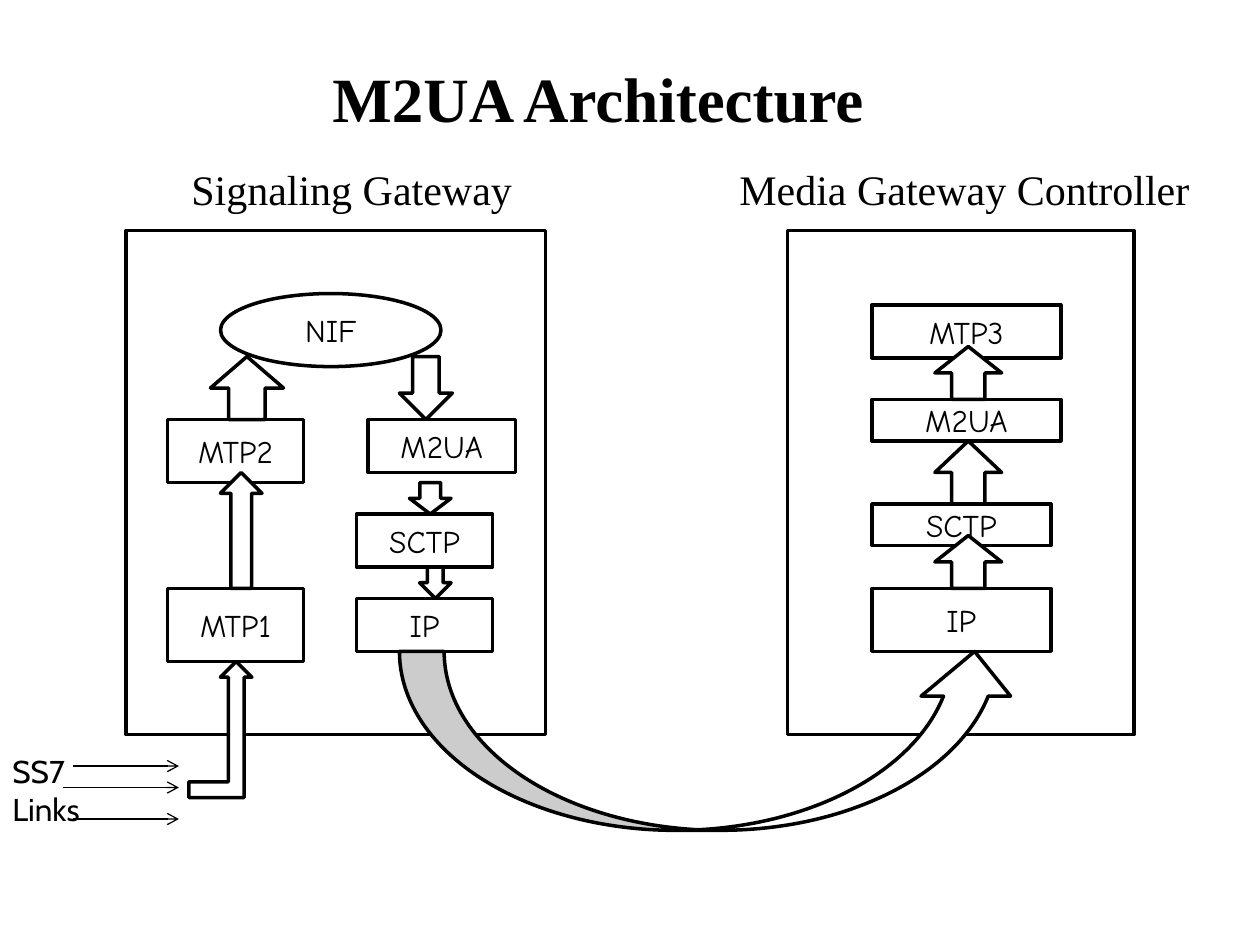
from dataclasses import dataclass

from lxml.etree import SubElement
from pptx import Presentation
from pptx.dml.color import RGBColor
from pptx.enum.shapes import MSO_CONNECTOR, MSO_SHAPE
from pptx.enum.text import MSO_ANCHOR, PP_ALIGN
from pptx.oxml.ns import qn
from pptx.util import Inches, Pt


@dataclass(frozen=True)
class Theme:
    ink: RGBColor = RGBColor(0, 0, 0)
    paper: RGBColor = RGBColor(255, 255, 255)
    serif: str = "Times New Roman"
    node_font: str = "Comic Neue"
    side_font: str = "Cabin"
    title_size: int = 36
    heading_size: int = 24
    body_size: int = 18
    outline: float = 2
    thin: float = 0.75


THEME = Theme()


def add_run(p, text, font, size, bold=False):
    r = p.add_run()
    r.text = text
    r.font.name = font
    r.font.size = Pt(size)
    r.font.bold = bold
    r.font.color.rgb = THEME.ink


def add_label(s, box, text, font, size, bold=False):
    sp = s.shapes.add_textbox(*map(Inches, box))
    sp.text_frame.word_wrap = True
    add_run(sp.text_frame.paragraphs[0], text, font, size, bold)


def add_outlined(s, kind, box, text=""):
    sp = s.shapes.add_shape(kind, *map(Inches, box))
    sp.shadow.inherit = False
    sp.fill.solid()
    sp.fill.fore_color.rgb = THEME.paper
    sp.line.color.rgb = THEME.ink
    sp.line.width = Pt(THEME.outline)
    if text:
        tf = sp.text_frame
        tf.word_wrap = True
        tf.vertical_anchor = MSO_ANCHOR.MIDDLE
        p = tf.paragraphs[0]
        p.alignment = PP_ALIGN.CENTER
        add_run(p, text, THEME.node_font, THEME.body_size)


def add_panel(s, box, parts):
    """Frame with parts placed relative to its top left corner."""
    left, top, _, _ = box
    add_outlined(s, MSO_SHAPE.RECTANGLE, box)
    for kind, x, y, w, h, text in parts:
        add_outlined(s, kind, (left + x, top + y, w, h), text)


def add_signaling_gateway(s, box):
    rect, up, down = MSO_SHAPE.RECTANGLE, MSO_SHAPE.UP_ARROW, MSO_SHAPE.DOWN_ARROW
    add_panel(s, box, [
        (MSO_SHAPE.OVAL, 0.75, 0.5, 1.75, 0.58, "NIF"),
        # SS7 side
        (rect, 0.33, 1.5, 1.08, 0.5, "MTP2"),
        (rect, 0.33, 2.84, 1.08, 0.58, "MTP1"),
        (up, 0.75, 1.92, 0.33, 0.92, ""),
        (up, 0.67, 1, 0.58, 0.5, ""),
        # IP side
        (rect, 1.92, 1.5, 1.17, 0.42, "M2UA"),
        (rect, 1.83, 2.25, 1.08, 0.42, "SCTP"),
        (rect, 1.83, 2.92, 1.08, 0.42, "IP"),
        (down, 2.17, 1, 0.42, 0.5, ""),
        (down, 2.25, 2, 0.33, 0.25, ""),
        (down, 2.33, 2.67, 0.25, 0.25, ""),
    ])


def add_gateway_controller(s, box):
    rect, up = MSO_SHAPE.RECTANGLE, MSO_SHAPE.UP_ARROW
    layers = [("MTP3", 0.59, 1.5, 0.42), ("M2UA", 1.34, 1.5, 0.33),
              ("SCTP", 2.17, 1.42, 0.33), ("IP", 2.84, 1.42, 0.5)]
    arrows = [(0.92, 0.42), (1.67, 0.5), (2.42, 0.42)]
    add_panel(s, box,
              [(rect, 0.67, y, w, h, name) for name, y, w, h in layers]
              + [(up, 1.17, y, 0.53, h, "") for y, h in arrows])


def add_ss7_links(s, box):
    left, top, width, height = box
    # Incoming link lines
    for x, y in [(0.58, 0.16), (0.5, 0.33), (0.58, 0.58)]:
        line = s.shapes.add_connector(
            MSO_CONNECTOR.STRAIGHT, Inches(left + x), Inches(top + y),
            Inches(left + 1.42), Inches(top + y))
        line.line.color.rgb = THEME.ink
        line.line.width = Pt(THEME.thin)
        SubElement(line.line._get_or_add_ln(), qn("a:tailEnd"), type="arrow")
        SubElement(line._element.spPr, qn("a:effectLst"))
    # Bent arrow into MTP1
    add_outlined(s, MSO_SHAPE.BENT_UP_ARROW, (left + 1.5, top - 0.67, 0.5, 1.08))
    add_label(s, (left, top, width, height), "SS7 Links",
              THEME.side_font, THEME.body_size)


def main():
    prs = Presentation()
    prs.slide_width, prs.slide_height = Inches(10), Inches(7.5)
    s = prs.slides.add_slide(prs.slide_layouts[6])

    # Title and headings
    add_label(s, (2.54, 0.42, 6.63, 0.7), "M2UA Architecture",
              THEME.serif, THEME.title_size, bold=True)
    for left, width, text in [(1.42, 3.33, "Signaling Gateway"),
                              (5.77, 4.23, "Media Gateway Controller")]:
        add_label(s, (left, 1.25, width, 0.5), text,
                  THEME.serif, THEME.heading_size)

    # Protocol stacks and the path between them
    add_signaling_gateway(s, (1, 1.83, 3.33, 4))
    add_gateway_controller(s, (6.25, 1.83, 2.75, 4))
    add_outlined(s, MSO_SHAPE.CURVED_UP_ARROW, (3.17, 5.17, 4.92, 1.42))
    add_ss7_links(s, (0, 5.92, 1, 0.7))

    prs.save("out.pptx")


if __name__ == "__main__":
    main()
